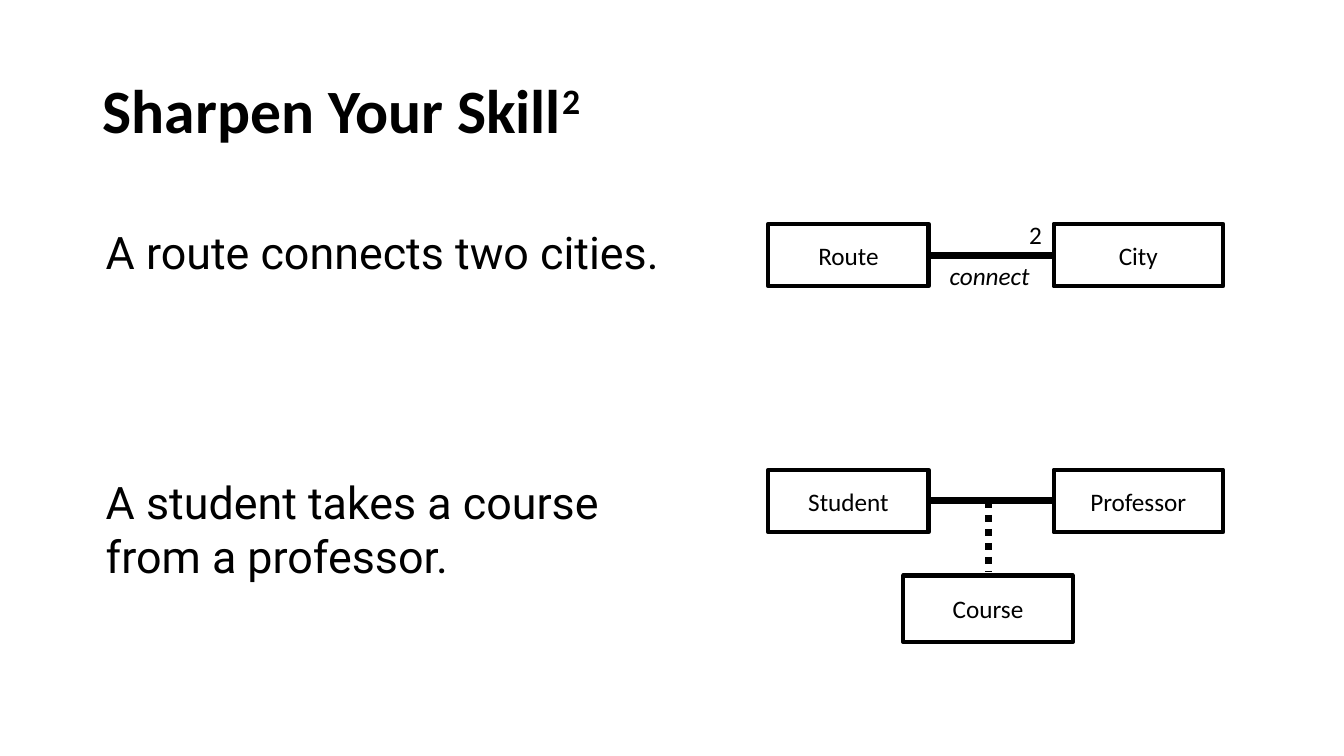
from dataclasses import dataclass

from pptx import Presentation
from pptx import util as u
from pptx.dml.color import RGBColor
from pptx.enum import dml, shapes, text
from pptx.oxml.ns import qn


@dataclass(frozen=True)
class Theme:
    """Hold the colours, fonts and sizes of the slide."""
    ink: RGBColor = RGBColor(0, 0, 0)
    paper: RGBColor = RGBColor(255, 255, 255)
    heading_font: str = "Calibri"
    body_font: str = "Roboto"
    title_size: int = 44
    body_size: int = 32
    label_size: int = 18
    border: float = 3
    link: float = 5


THEME = Theme()
LEFT_X, LEFT_W = 7.62, 1.59
RIGHT_X, RIGHT_W = 10.45, 1.68
CLASS_H = 0.62


def place(element, box):
    """Move and size an element to left, top, width and height in inches."""
    for side, length in zip(("left", "top", "width", "height"), box):
        setattr(element, side, u.Inches(length))


def write(paragraph, wording, font, size, **formats):
    """Add a formatted run to a paragraph and return it."""
    run = paragraph.add_run()
    run.text = wording
    for key, value in {"name": font, "size": u.Pt(size), **formats}.items():
        setattr(run.font, key, value)
    run.font.color.rgb = THEME.ink
    return run


def add_title(slide, wording, superscript):
    """Fill the title placeholder, ending in a superscript."""
    title = slide.shapes.title
    place(title, (0.92, 0.4, 11.5, 1.45))
    title.text_frame.vertical_anchor = text.MSO_ANCHOR.MIDDLE
    heading = title.text_frame.paragraphs[0]
    for key, value in {"alignment": text.PP_ALIGN.LEFT, "line_spacing": 0.9}.items():
        setattr(heading, key, value)
    style = (THEME.heading_font, THEME.title_size)
    write(heading, wording, *style, bold=True)
    power = write(heading, superscript, *style, bold=True)
    power.font._element.set("baseline", "30000")


def add_words(slide, box, wording, font, size, wrap, **formats):
    """Add a text box that grows with its wording."""
    words = slide.shapes.add_textbox(*map(u.Inches, box))
    frame = words.text_frame
    for key, value in {"word_wrap": wrap,
                       "auto_size": text.MSO_AUTO_SIZE.SHAPE_TO_FIT_TEXT}.items():
        setattr(frame, key, value)
    write(frame.paragraphs[0], wording, font, size, **formats)


def add_sentence(slide, box, wording):
    """Add a sentence that a diagram models."""
    add_words(slide, box, wording, THEME.body_font, THEME.body_size, True)


def add_label(slide, box, wording, **formats):
    """Add a small label beside an association."""
    add_words(slide, box, wording, THEME.heading_font, THEME.label_size, False, **formats)


def add_class(slide, box, name):
    """Add an outlined class box with a centred name."""
    entity = slide.shapes.add_shape(shapes.MSO_SHAPE.RECTANGLE, *map(u.Inches, box))
    entity.shadow.inherit = False
    entity.fill.solid()
    entity.fill.fore_color.rgb = THEME.paper
    entity.line.color.rgb = THEME.ink
    entity.line.width = u.Pt(THEME.border)
    entity.text_frame.vertical_anchor = text.MSO_ANCHOR.MIDDLE
    caption = entity.text_frame.paragraphs[0]
    caption.alignment = text.PP_ALIGN.CENTER
    write(caption, name, THEME.heading_font, THEME.label_size)


def add_link(slide, start, end, dash=None):
    """Draw a thick line between two points in inches."""
    link = slide.shapes.add_connector(
        shapes.MSO_CONNECTOR.STRAIGHT, *map(u.Inches, (*start, *end)))
    link.line.color.rgb = THEME.ink
    formats = {"width": u.Pt(THEME.link), "dash_style": dash}
    for key, value in formats.items():
        setattr(link.line, key, value)
    properties = link._element.spPr
    properties.append(properties.makeelement(qn("a:effectLst"), {}))


def add_association(slide, top, left_name, right_name):
    """Draw two classes in a row, joined through their middles."""
    add_class(slide, (LEFT_X, top, LEFT_W, CLASS_H), left_name)
    add_class(slide, (RIGHT_X, top, RIGHT_W, CLASS_H), right_name)
    middle = top + CLASS_H / 2
    add_link(slide, (LEFT_X + LEFT_W, middle), (RIGHT_X, middle))


def main():
    """Build and save the slide."""
    deck = Presentation()
    deck.slide_width, deck.slide_height = u.Inches(13.33), u.Inches(7.5)
    slide = deck.slides.add_slide(deck.slide_layouts[5])
    add_title(slide, "Sharpen Your Skill", "2")

    add_sentence(slide, (0.95, 2.18, 6.67, 0.64), "A route connects two cities.")
    add_association(slide, 2.22, "Route", "City")
    add_label(slide, (10.11, 2.13, 0.33, 0.4), "2")
    add_label(slide, (9.32, 2.53, 1.02, 0.4), "connect", italic=True)

    add_sentence(slide, (0.95, 4.66, 5.38, 1.18),
                 "A student takes a course from a professor.")
    add_association(slide, 4.66, "Student", "Professor")
    add_link(slide, (9.8, 4.97), (9.8, 5.67), dml.MSO_LINE.ROUND_DOT)
    add_class(slide, (8.96, 5.71, RIGHT_W, 0.66), "Course")
    deck.save("out.pptx")


if __name__ == "__main__":
    main()
